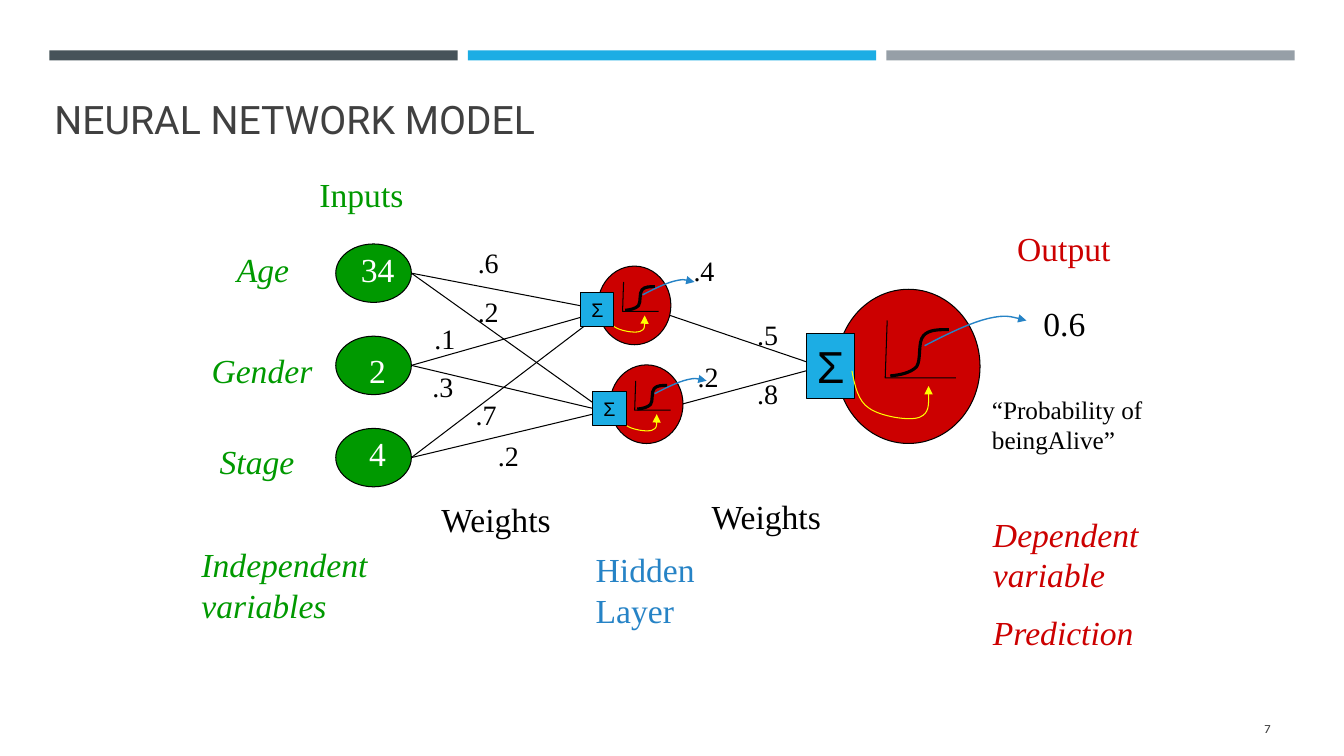
from dataclasses import dataclass
from itertools import product

from lxml import etree
from pptx import Presentation
from pptx import util as u
from pptx.dml.color import RGBColor
from pptx.enum import shapes, text
from pptx.oxml.ns import qn


@dataclass(frozen=True)
class Theme:
    green: str = "009900"
    red: str = "CC0000"
    cyan: str = "1CADE4"
    blue: str = "2683C6"
    yellow: str = "FFFF00"
    slate: str = "465359"
    grey: str = "969FA7"
    ink: str = "404040"
    black: str = "000000"
    white: str = "FFFFFF"
    serif: str = "Times New Roman"
    symbol: str = "Arial"
    heading: str = "Roboto"
    footer: str = "Karla"
    title_size: float = 28
    label_size: float = 24
    weight_size: float = 20
    note_size: float = 18
    number_size: float = 9
    hairline: float = 0.75


THEME = Theme()
OVAL = shapes.MSO_SHAPE.FLOWCHART_CONNECTOR
RECT = shapes.MSO_SHAPE.RECTANGLE

# Neuron drawing in inches, measured from the top left of a full-size neuron
SIGMOID = [(0.53, 0.86), (0.63, 0.85), (0.73, 0.83), (0.79, 0.77),
           (0.84, 0.7), (0.8, 0.52), (0.86, 0.46),
           (0.91, 0.4), (1.01, 0.4), (1.11, 0.4)]
AXES = [(0.5, 0.31), (0.48, 0.88), (1.18, 0.88)]
FEED = [(0.15, 0.81), (0.18, 0.96), (0.21, 1.11), (0.32, 1.18),
        (0.43, 1.26), (0.72, 1.31), (0.82, 1.27),
        (0.92, 1.23), (0.91, 1.1), (0.91, 0.96)]
RESULT = [(0.87, 0.56), (1.1, 0.44), (1.33, 0.33), (1.5, 0.29),
          (1.67, 0.25), (1.77, 0.28), (1.88, 0.31)]


def write(frame, content, *, size=THEME.label_size, font=THEME.serif,
          color=THEME.black, italic=False, align=text.PP_ALIGN.LEFT,
          anchor=text.MSO_ANCHOR.TOP, wrap=True, gap=12):
    """Fill a text frame, one paragraph per line of content."""
    frame.word_wrap = wrap
    frame.auto_size = text.MSO_AUTO_SIZE.NONE
    frame.vertical_anchor = anchor
    for index, line in enumerate(content.split("\n")):
        para = frame.add_paragraph() if index else frame.paragraphs[0]
        para.alignment = align
        para.space_before = u.Pt(gap if index else 0)
        span = para.add_run()
        span.text = line
        span.font.size = u.Pt(size)
        span.font.name = font
        span.font.italic = italic
        span.font.color.rgb = RGBColor.from_string(color)


class SlidePainter:
    def __init__(self, deck, theme):
        self.theme = theme
        self.page = deck.slides.add_slide(deck.slide_layouts[5])

    def title(self, content, left, top, width, height):
        box = self.page.shapes.title
        box.left, box.top, box.width, box.height = map(
            u.Inches, (left, top, width, height))
        write(box.text_frame, content, size=self.theme.title_size,
              font=self.theme.heading, color=self.theme.ink,
              anchor=text.MSO_ANCHOR.BOTTOM)

    def label(self, content, left, top, width, height=0.5, **style):
        box = self.page.shapes.add_textbox(
            *map(u.Inches, (left, top, width, height)))
        write(box.text_frame, content, **style)

    def weight(self, content, left, top):
        self.label(content, left, top, 0.41, 0.43,
                   size=self.theme.weight_size, wrap=False)

    def outline(self, shape, color, width):
        shape.line.color.rgb = RGBColor.from_string(color)
        shape.line.width = u.Pt(width)

    def shape(self, kind, left, top, width, height, fill, outlined=True):
        shape = self.page.shapes.add_shape(
            kind, *map(u.Inches, (left, top, width, height)))
        shape.shadow.inherit = False
        shape.fill.solid()
        shape.fill.fore_color.rgb = RGBColor.from_string(fill)
        if outlined:
            self.outline(shape, self.theme.black, self.theme.hairline)
        else:
            shape.line.fill.background()
        return shape

    def link(self, start, end):
        line = self.page.shapes.add_connector(
            shapes.MSO_CONNECTOR.STRAIGHT, *map(u.Inches, (*start, *end)))
        self.outline(line, self.theme.black, self.theme.hairline)
        etree.SubElement(line._element.spPr, qn("a:effectLst"))

    def stroke(self, points, color, width, curved=True, arrow=False):
        """Draw an open line; when curved, points are Bézier triples."""
        start, *rest = [(u.Inches(x), u.Inches(y)) for x, y in points]
        builder = self.page.shapes.build_freeform(*start)
        builder.add_line_segments(rest, close=False)
        shape = builder.convert_to_shape()
        shape.shadow.inherit = False
        shape.fill.background()
        self.outline(shape, color, width)
        properties = shape._element.spPr
        if curved:
            trace = next(properties.iter(qn("a:path")))
            segments = trace.findall(qn("a:lnTo"))
            for first in range(0, len(segments), 3):
                curve = etree.SubElement(trace, qn("a:cubicBezTo"))
                for segment in segments[first:first + 3]:
                    curve.append(segment[0])
                    trace.remove(segment)
        if arrow:
            etree.SubElement(properties.find(qn("a:ln")), qn("a:tailEnd"),
                             type="triangle")

    def sum_box(self, left, top, width, height, size):
        box = self.shape(RECT, left, top, width, height, self.theme.cyan)
        frame = box.text_frame
        frame.margin_left = frame.margin_right = 0
        frame.margin_top = frame.margin_bottom = 0
        write(frame, "Σ", size=size, font=self.theme.symbol, wrap=False,
              align=text.PP_ALIGN.CENTER, anchor=text.MSO_ANCHOR.MIDDLE)

    def neuron(self, left, top, scale, sum_box, sum_on_top):
        """Draw a red unit; sum_box is (dx, dy, width, height, size)."""
        theme = self.theme

        def place(points):
            return [(left + x * scale, top + y * scale) for x, y in points]

        def draw_sum():
            dx, dy, *rest = sum_box
            self.sum_box(left + dx, top + dy, *rest)

        self.shape(OVAL, left, top, 1.42 * scale, 1.53 * scale, theme.red)
        self.stroke(place(SIGMOID), theme.black, 2.25)
        self.stroke(place(AXES), theme.black, theme.hairline, curved=False)
        if not sum_on_top:
            draw_sum()
        self.stroke(place(FEED), theme.yellow, theme.hairline, arrow=True)
        self.stroke(place(RESULT), theme.blue, 1, arrow=True)
        if sum_on_top:
            draw_sum()


def main():
    deck = Presentation()
    deck.slide_width, deck.slide_height = u.Inches(13.33), u.Inches(7.5)
    painter = SlidePainter(deck, THEME)

    for index, color in enumerate((THEME.slate, THEME.cyan, THEME.grey)):
        painter.shape(RECT, 0.49 + 4.15 * index, 0.5, 4.05, 0.1, color,
                      outlined=False)
    painter.title("NEURAL NETWORK MODEL", 0.44, 0.16, 12.06, 1.3)

    input_tops = [2.42 + 0.915 * row for row in range(3)]
    for top in input_tops:
        painter.shape(OVAL, 3.33, top, 0.75, 0.58, THEME.green)
    for top, hidden_y in product(input_tops, (3.08, 4.08)):
        painter.link((4.08, top + 0.29), (6, hidden_y))
    painter.link((6.5, 3.08), (8.03, 3.6))
    painter.link((6.5, 4.08), (8.03, 3.67))

    for name, left, top, value, value_top in (
            ("Age", 2.25, 2.42, "34", 2.42),
            ("Gender", 2, 3.42, "2", 3.42),
            ("Stage", 2.08, 4.33, "4", 4.25)):
        painter.label(name, left, top, 1.25, color=THEME.green, italic=True)
        painter.label(value, 3.33, value_top, 0.83, color=THEME.white,
                      align=text.PP_ALIGN.CENTER)

    painter.neuron(8.3, 2.87, 1, (-0.3, 0.44, 0.48, 0.64, 32), False)
    for left, top in ((5.93, 2.64), (6.05, 3.62)):
        painter.neuron(left, top, 0.51, (-0.17, 0.26, 0.33, 0.34, 14), True)

    for value, left, top in (
            (".6", 4.64, 2.39), (".2", 4.64, 2.87), (".1", 4.21, 3.14),
            (".3", 4.19, 3.62), (".7", 4.62, 3.89), (".2", 4.84, 4.3),
            (".5", 7.41, 3.1), (".8", 7.41, 3.69),
            (".4", 6.78, 2.47), (".2", 6.82, 3.52)):
        painter.weight(value, left, top)

    painter.label("Inputs", 3.07, 1.68, 1.25, color=THEME.green)
    painter.label("Output", 9.99, 2.21, 1.67, color=THEME.red)
    painter.label("Weights", 4.28, 4.9, 1.43)
    painter.label("Weights", 6.96, 4.87, 1.43)
    painter.label("Hidden Layer", 5.81, 5.4, 1.43, 0.91, color=THEME.blue)
    painter.label("0.6", 10.25, 2.96, 1.08)
    painter.label("“Probability of beingAlive”", 9.74, 3.86, 1.77, 0.7,
                  size=THEME.note_size)
    painter.label("Independent variables", 1.9, 5.35, 2.08, 0.91,
                  color=THEME.green, italic=True)
    painter.label("Dependent variable\nPrediction", 9.75, 5.05, 1.75, 1.51,
                  color=THEME.red, italic=True)
    painter.label("7", 11.55, 7.03, 1.15, 0.4, size=THEME.number_size,
                  font=THEME.footer, color=THEME.ink,
                  align=text.PP_ALIGN.RIGHT, anchor=text.MSO_ANCHOR.MIDDLE)

    deck.save("out.pptx")


if __name__ == "__main__":
    main()
